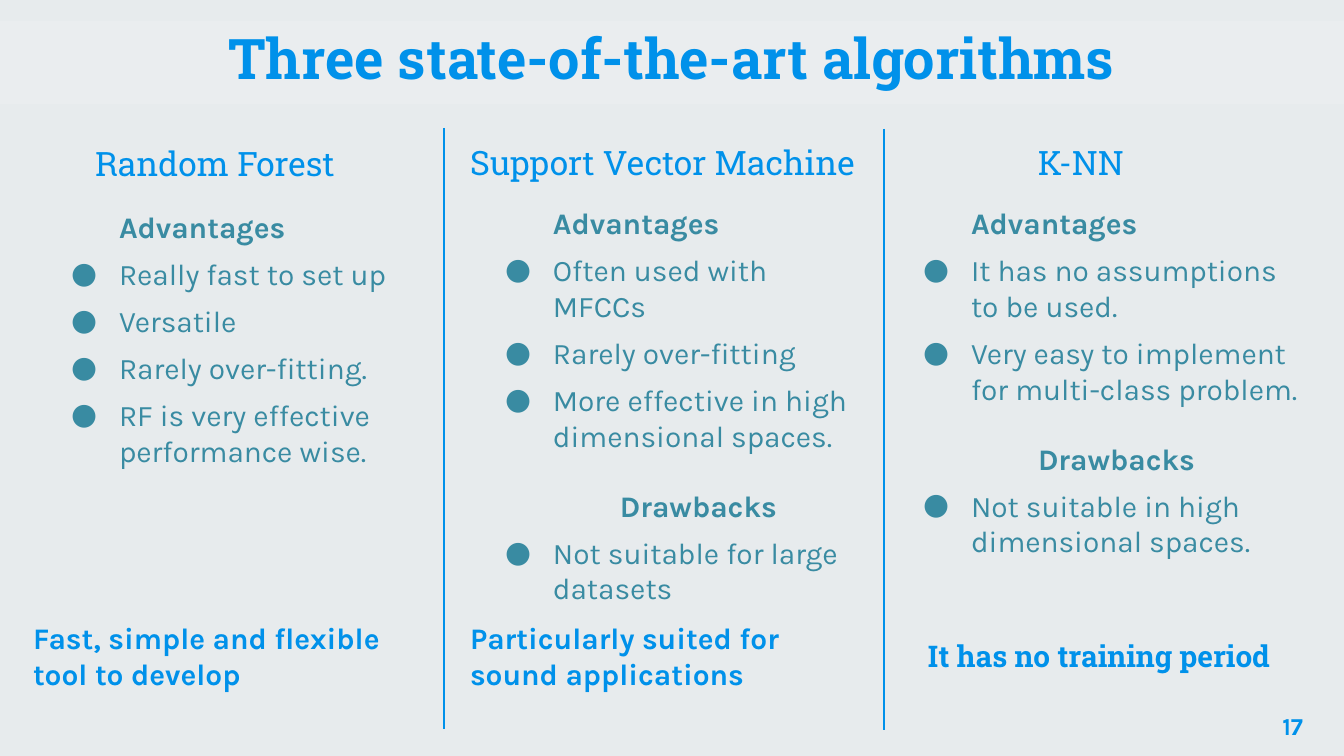
from lxml import etree
from pptx import Presentation
from pptx.dml.color import RGBColor
from pptx.enum.shapes import MSO_CONNECTOR, MSO_SHAPE
from pptx.enum.text import MSO_ANCHOR, MSO_AUTO_SIZE, PP_ALIGN
from pptx.oxml.ns import qn
from pptx.util import Emu, Pt

LEFT, CENTER, RIGHT = PP_ALIGN.LEFT, PP_ALIGN.CENTER, PP_ALIGN.RIGHT
TOP, BOTTOM = MSO_ANCHOR.TOP, MSO_ANCHOR.BOTTOM
RECTANGLE, STRAIGHT = MSO_SHAPE.RECTANGLE, MSO_CONNECTOR.STRAIGHT
NO_FIT = MSO_AUTO_SIZE.NONE

COLORS = {"blue": "0091EA", "teal": "398BA2", "backdrop": "CFD8DC", "band": "ECEFF1"}
SLAB, KARLA = "Roboto Slab", "Karla"
INSET, INDENT, HANGING = 13, 67, 48
PAGE_WIDTH, PAGE_HEIGHT = 1344, 756

COLUMNS = [
    {
        "heading": ("Random Forest", (82, 128, 297, 68)),
        "list": (1, (39, 196, 370, 388)),
        "advantages": ["Really fast to set up", "Versatile", "Rarely over-fitting.",
                       "RF is very effective performance wise."],
        "drawbacks": [],
        "summary": ("Fast, simple and flexible tool to develop", KARLA, (20, 607, 422, 99)),
    },
    {
        "heading": ("Support Vector Machine", (457, 129, 422, 66)),
        "list": (2, (473, 192, 391, 413)),
        "advantages": ["Often used with MFCCs", "Rarely over-fitting",
                       "More effective in high dimensional spaces."],
        "drawbacks": ["Not suitable for large datasets"],
        "summary": ("Particularly suited for sound applications", KARLA, (457, 607, 422, 99)),
    },
    {
        "heading": ("K-NN", (1025, 129, 145, 66)),
        "list": (4, (891, 192, 433, 429)),
        "advantages": ["It has no assumptions to be used.",
                       "Very easy to implement for multi-class problem."],
        "drawbacks": ["Not suitable in high dimensional spaces."],
        "summary": ("It has no training period", SLAB, (915, 625, 384, 63)),
    },
]


def px(length):
    return Emu(round(length * 914400 / 134.4))


class SlideBuilder:
    def __init__(self, page):
        self.page = page

    def fill(self, shape, color, opacity):
        shape.fill.solid()
        shape.fill.fore_color.rgb = RGBColor.from_string(COLORS[color])
        tone = shape._element.spPr.find(".//" + qn("a:srgbClr"))
        etree.SubElement(tone, qn("a:alpha"), val=str(opacity * 1000))

    def backdrop(self, area):
        shape = self.page.shapes.add_shape(RECTANGLE, *map(px, area))
        shape.shadow.inherit = False
        shape.line.fill.background()
        self.fill(shape, "backdrop", 49)
        self.page.shapes._spTree.insert(2, shape._element)

    def frame(self, box, area, anchor):
        box.left, box.top, box.width, box.height = map(px, area)
        frame = box.text_frame
        frame.auto_size = NO_FIT
        frame.word_wrap = True
        frame.vertical_anchor = anchor
        frame.margin_left = frame.margin_right = px(INSET)
        frame.margin_top = frame.margin_bottom = px(INSET)
        return frame

    def style_text(self, para, text, font, size, color, bold, align=LEFT):
        para.text = text
        para.alignment = align
        para.font.name = font
        para.font.size = Pt(size)
        para.font.bold = bold
        para.font.color.rgb = RGBColor.from_string(COLORS[color])

    def title(self, text, area):
        box = self.page.shapes.title
        para = self.frame(box, area, BOTTOM).paragraphs[0]
        self.fill(box, "band", 73)
        self.style_text(para, text, SLAB, 30, "blue", True, CENTER)

    def label(self, text, area, font, size, bold, anchor=TOP, align=LEFT):
        box = self.page.shapes.add_textbox(*map(px, area))
        para = self.frame(box, area, anchor).paragraphs[0]
        self.style_text(para, text, font, size, "blue", bold, align)

    def indent(self, para, margin, bullet):
        props = para._p.get_or_add_pPr()
        props.set("marL", str(px(margin)))
        props.set("indent", str(px(-HANGING if bullet else 0)))
        if bullet:
            color = etree.SubElement(props, qn("a:buClr"))
            etree.SubElement(color, qn("a:srgbClr"), val=COLORS["teal"])
            etree.SubElement(props, qn("a:buFont"), typeface=KARLA)
            etree.SubElement(props, qn("a:buChar"), char="●")
        else:
            etree.SubElement(props, qn("a:buNone"))

    def pros_and_cons(self, index, area, advantages, drawbacks):
        entries = [("Advantages", INDENT, 6, False)]
        entries += [(item, INDENT, 6, True) for item in advantages]
        if drawbacks:
            entries.append(("Drawbacks", 2 * INDENT, 18, False))
            entries += [(item, INDENT, 6, True) for item in drawbacks]
        frame = self.frame(self.page.placeholders[index], area, TOP)
        for number, (text, margin, gap, bullet) in enumerate(entries):
            para = frame.add_paragraph() if number else frame.paragraphs[0]
            para.space_before = Pt(gap)
            self.indent(para, margin, bullet)
            self.style_text(para, text, KARLA, 16, "teal", not bullet)

    def divider(self, x, top, bottom):
        line = self.page.shapes.add_connector(STRAIGHT, px(x), px(top), px(x), px(bottom))
        line.line.color.rgb = RGBColor.from_string(COLORS["blue"])
        line.line.width = Pt(1.5)
        etree.SubElement(line._element.spPr, qn("a:effectLst"))

    def remove_empty_placeholders(self):
        for box in list(self.page.placeholders):
            if not box.text_frame.text:
                box._element.getparent().remove(box._element)


def main():
    deck = Presentation()
    deck.slide_width, deck.slide_height = px(PAGE_WIDTH), px(PAGE_HEIGHT)
    comparison_layout = deck.slide_layouts[4]
    builder = SlideBuilder(deck.slides.add_slide(comparison_layout))

    builder.backdrop((0, 0, PAGE_WIDTH, PAGE_HEIGHT))
    builder.title("Three state-of-the-art algorithms", (0, 21, PAGE_WIDTH, 83))
    for column in COLUMNS:
        heading, heading_area = column["heading"]
        builder.label(heading, heading_area, SLAB, 18, False, BOTTOM)
        builder.pros_and_cons(*column["list"], column["advantages"], column["drawbacks"])
        summary, font, summary_area = column["summary"]
        builder.label(summary, summary_area, font, 16, True)
    for x, top in ((444, 128), (884, 129)):
        builder.divider(x, top, top + 601)
    builder.label("17", (1235, 698, 81, 58), KARLA, 13, True, align=RIGHT)
    builder.remove_empty_placeholders()
    deck.save("out.pptx")


if __name__ == "__main__":
    main()
